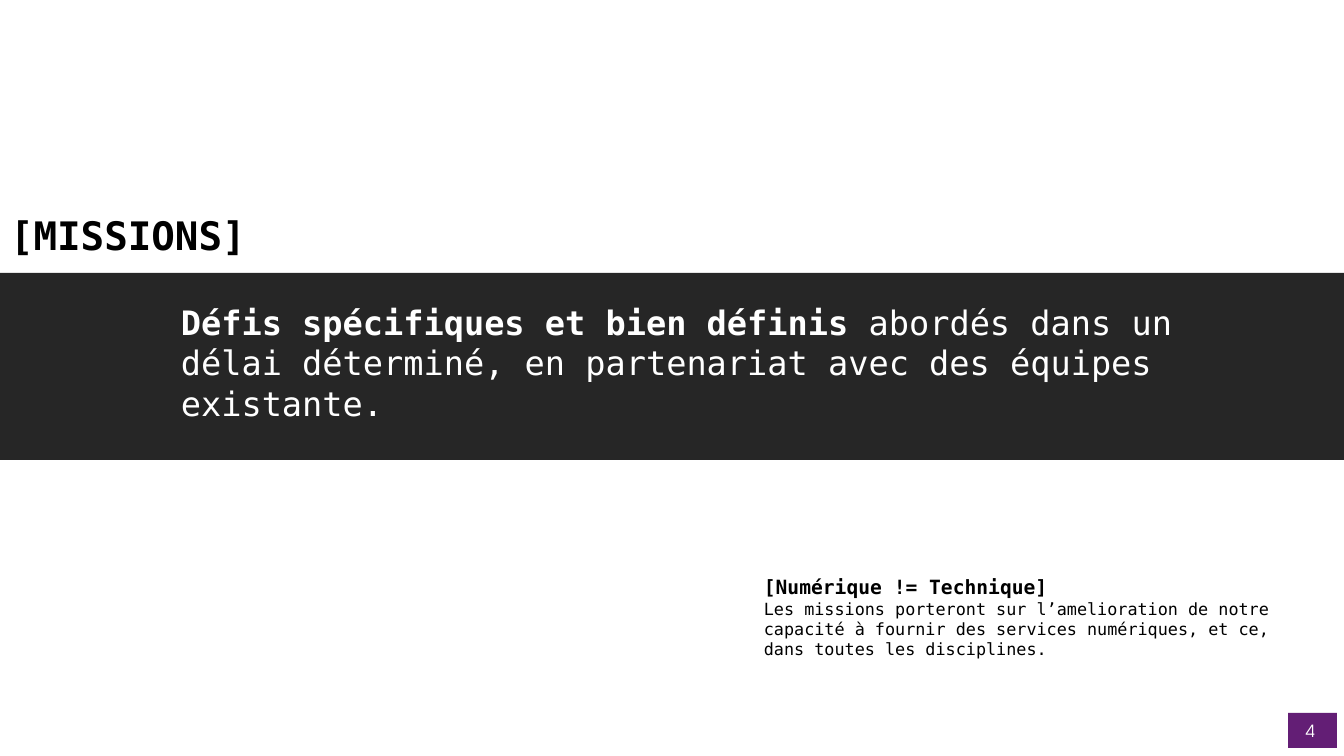
import pptx
import pptx.dml.color
import pptx.enum.shapes
import pptx.enum.text
import pptx.util

ALIGN = pptx.enum.text.PP_ALIGN
ANCHOR = pptx.enum.text.MSO_ANCHOR
MONO = "DejaVu Sans Mono"
BLACK, WHITE, DARK, PURPLE = "000000", "FFFFFF", "262626", "631E75"


def emu(px):
    return pptx.util.Emu(round(px * 914400 / 100.8))


def color(hex_text):
    return pptx.dml.color.RGBColor.from_string(hex_text)


class SlideBuilder:
    """Holds the text style and the current page."""

    def __init__(self, deck, font_name):
        self.font_name = font_name
        self.page = deck.slides.add_slide(deck.slide_layouts[5])

    def fill_text(self, box, paragraphs, ink, anchor=ANCHOR.TOP, font_name=None, **para_format):
        """Each paragraph is a list of (text, size, bold) spans."""
        frame = box.text_frame
        frame_format = {"word_wrap": True, "auto_size": pptx.enum.text.MSO_AUTO_SIZE.NONE,
                        "vertical_anchor": anchor}
        for name, value in frame_format.items():
            setattr(frame, name, value)
        for index, spans in enumerate(paragraphs):
            para = frame.add_paragraph() if index else frame.paragraphs[0]
            for name, value in ({"alignment": ALIGN.LEFT} | para_format).items():
                setattr(para, name, value)
            for text, size, bold in spans:
                span = para.add_run()
                span.text = text
                span.font.color.rgb = color(ink)
                span_format = {"name": font_name or self.font_name,
                               "size": pptx.util.Pt(size), "bold": bold}
                for name, value in span_format.items():
                    setattr(span.font, name, value)

    def title(self, place, text, size):
        box = self.page.shapes.title
        for name, value in zip(("left", "top", "width", "height"), place):
            setattr(box, name, emu(value))
        self.fill_text(box, [[(text, size, True)]], BLACK, ANCHOR.MIDDLE, line_spacing=0.9)

    def panel(self, place, fill):
        box = self.page.shapes.add_shape(
            pptx.enum.shapes.MSO_SHAPE.RECTANGLE, *map(emu, place))
        box.shadow.inherit = False
        box.fill.solid()
        box.fill.fore_color.rgb = color(fill)
        box.line.fill.background()
        return box

    def text(self, place, paragraphs, ink):
        box = self.page.shapes.add_textbox(*map(emu, place))
        self.fill_text(box, paragraphs, ink)


def main():
    deck = pptx.Presentation()
    deck.slide_width, deck.slide_height = emu(1344), emu(756)
    slide = SlideBuilder(deck, MONO)

    # Heading
    slide.title((0, 213, 1250, 50), "[MISSIONS]", 28)

    # Dark band with the main statement
    slide.panel((0, 273, 1344, 187), DARK)
    statement = slide.panel((171, 297, 1028, 132), DARK)
    slide.fill_text(statement, [[
        ("Défis spécifiques et bien définis ", 24, True),
        ("abordés dans un délai déterminé, en partenariat avec des équipes existante.", 24, False),
    ]], WHITE)

    # Side note
    slide.text((754, 570, 556, 95), [
        [("[Numérique != Technique]", 14, True)],
        [("Les missions porteront sur l’amelioration de notre capacité à fournir "
          "des services numériques, et ce, dans toutes les disciplines.", 12, False)],
    ], BLACK)

    # Page number
    number = slide.panel((1288, 713, 49, 35), PURPLE)
    slide.fill_text(number, [[("4 ", 12, False)]], WHITE, ANCHOR.MIDDLE,
                    "TeX Gyre Adventor", alignment=ALIGN.CENTER)

    deck.save("out.pptx")


if __name__ == "__main__":
    main()
